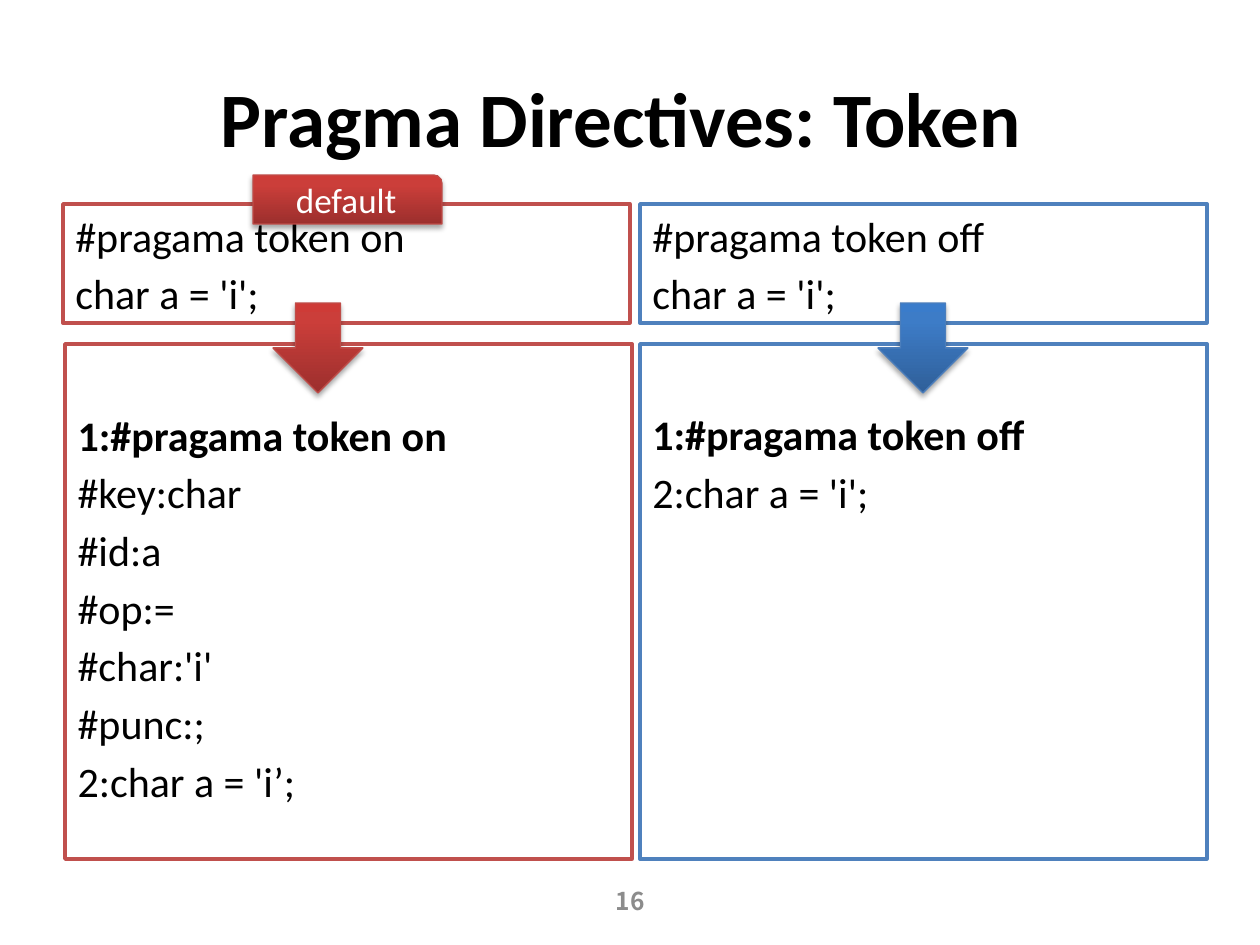
from copy import deepcopy

from lxml.etree import SubElement
from pptx import Presentation
from pptx.dml.color import RGBColor
from pptx.enum.shapes import MSO_SHAPE
from pptx.enum.text import MSO_ANCHOR, MSO_AUTO_SIZE, PP_ALIGN
from pptx.oxml.ns import qn
from pptx.util import Pt

PX = 914400 / 126
RED = {"border": "C0504D", "edge": "BF4C48", "stops": ("9C2F2D", "CB3E3A", "CE3B37")}
BLUE = {"border": "4F81BD", "edge": "4B7EBC", "stops": ("2F5F99", "3D7CC7", "3A7CCB")}


def rgb(value):
    """Turn a hex string into a colour."""
    return RGBColor.from_string(value)


def emu(box):
    """Scale a box of pixels to EMU."""
    return [round(length * PX) for length in box]


def place(part, box):
    """Move a placeholder to a box."""
    part.left, part.top, part.width, part.height = emu(box)


def write(paragraph, text, size, color="000000", bold=False, font="Calibri"):
    """Add one formatted run to a paragraph."""
    run = paragraph.add_run()
    run.text = text
    run.font.size = Pt(size)
    run.font.name = font
    run.font.bold = bold
    run.font.color.rgb = rgb(color)


def add_label(frame, text, size, **style):
    """Write one centred line in the middle of a frame."""
    frame.word_wrap = True
    frame.auto_size = MSO_AUTO_SIZE.NONE
    frame.vertical_anchor = MSO_ANCHOR.MIDDLE
    frame.paragraphs[0].alignment = PP_ALIGN.CENTER
    write(frame.paragraphs[0], text, size, **style)


def fill_panel(panel, lines, theme, inset=6, heading=False):
    """Format an outlined code panel and write its lines."""
    panel.fill.solid()
    panel.fill.fore_color.rgb = rgb("FFFFFF")
    panel.line.color.rgb = rgb(theme["border"])
    panel.line.width = Pt(2)
    frame = panel.text_frame
    frame.word_wrap = True
    frame.auto_size = MSO_AUTO_SIZE.NONE
    frame.vertical_anchor = MSO_ANCHOR.TOP
    frame.margin_top = round(inset * PX)
    for index, line in enumerate(lines):
        paragraph = frame.add_paragraph() if index else frame.paragraphs[0]
        paragraph.alignment = PP_ALIGN.LEFT
        paragraph.space_before = Pt(4.2)
        properties = paragraph._p.get_or_add_pPr()
        properties.set("marL", "0")
        properties.set("indent", "0")
        SubElement(properties, qn("a:buNone"))
        write(paragraph, line, 24, bold=heading and index == 0)


def add_plain(slide, box):
    """Add a rectangle without a shadow."""
    rectangle = slide.shapes.add_shape(MSO_SHAPE.RECTANGLE, *emu(box))
    rectangle.shadow.inherit = False
    return rectangle


def add_glossy(slide, preset, box, theme):
    """Add a shape with a vertical gradient and a soft shadow."""
    glossy = slide.shapes.add_shape(preset, *emu(box))
    glossy.line.color.rgb = rgb(theme["edge"])
    glossy.line.width = Pt(0.75)
    glossy.fill.gradient()
    glossy.fill.gradient_angle = 90
    stop_list = glossy._element.spPr.find(".//" + qn("a:gsLst"))
    stop_list.insert(1, deepcopy(stop_list[0]))
    for stop, position, color in zip(glossy.fill.gradient_stops, (0, 0.8, 1), theme["stops"]):
        stop.position = position
        stop.color.rgb = rgb(color)
    glossy.shadow.inherit = False
    effects = glossy._element.spPr.find(qn("a:effectLst"))
    shadow = SubElement(effects, qn("a:outerShdw"), blurRad="39370", dist="22860",
                        dir="5400000", rotWithShape="0")
    shade = SubElement(shadow, qn("a:srgbClr"), val="000000")
    SubElement(shade, qn("a:alpha"), val="35000")
    return glossy


def add_column(slide, box, theme, source, result, arrow_left, result_shift=0, result_panel=None):
    """Build one source panel, its result panel and the arrow between them."""
    left, top, width, height = box
    result_box = (left + result_shift, top + 140, width, height - 140)
    if result_panel is None:
        result_panel = add_plain(slide, result_box)
    else:
        place(result_panel, result_box)
    fill_panel(result_panel, result, theme, inset=65, heading=True)
    fill_panel(add_plain(slide, (left, top, width, 119)), source, theme)
    add_glossy(slide, MSO_SHAPE.DOWN_ARROW, (left + arrow_left, top + 99, 90, 90), theme)


def add_heading(slide, box):
    """Write the slide title in its placeholder."""
    place(slide.shapes.title, box)
    add_label(slide.shapes.title.text_frame, "Pragma Directives: Token ", 44, bold=True)


def add_default_tag(slide, box):
    """Add the tag that marks the default setting."""
    tag = add_glossy(slide, MSO_SHAPE.ROUND_1_RECTANGLE, box, RED)
    add_label(tag.text_frame, "default", 20, color="FFFFFF")


def add_page_number(slide, box):
    """Add the page number."""
    number = slide.shapes.add_textbox(*emu(box))
    add_label(number.text_frame, "16", 14, color="8C8C8C", bold=True, font="Noto Sans CJK SC")


def main():
    """Build and save the slide."""
    deck = Presentation()
    deck.slide_width, deck.slide_height = emu((1260, 945))
    slide = deck.slides.add_slide(deck.slide_layouts[1])
    add_heading(slide, (63, 38, 1134, 157))
    add_column(slide, (63, 204, 567, 655), RED,
               ["#pragama token on", "char a = 'i';"],
               ["1:#pragama token on", "#key:char", "#id:a", "#op:=",
                "#char:'i'", "#punc:;", "2:char a = 'i’;"],
               arrow_left=210, result_shift=2, result_panel=slide.placeholders[1])
    add_column(slide, (640, 204, 567, 655), BLUE,
               ["#pragama token off", "char a = 'i';"],
               ["1:#pragama token off", "2:char a = 'i';"], arrow_left=238)
    add_default_tag(slide, (253, 175, 189, 49))
    add_page_number(slide, (483, 876, 294, 50))
    deck.save("out.pptx")


if __name__ == "__main__":
    main()
